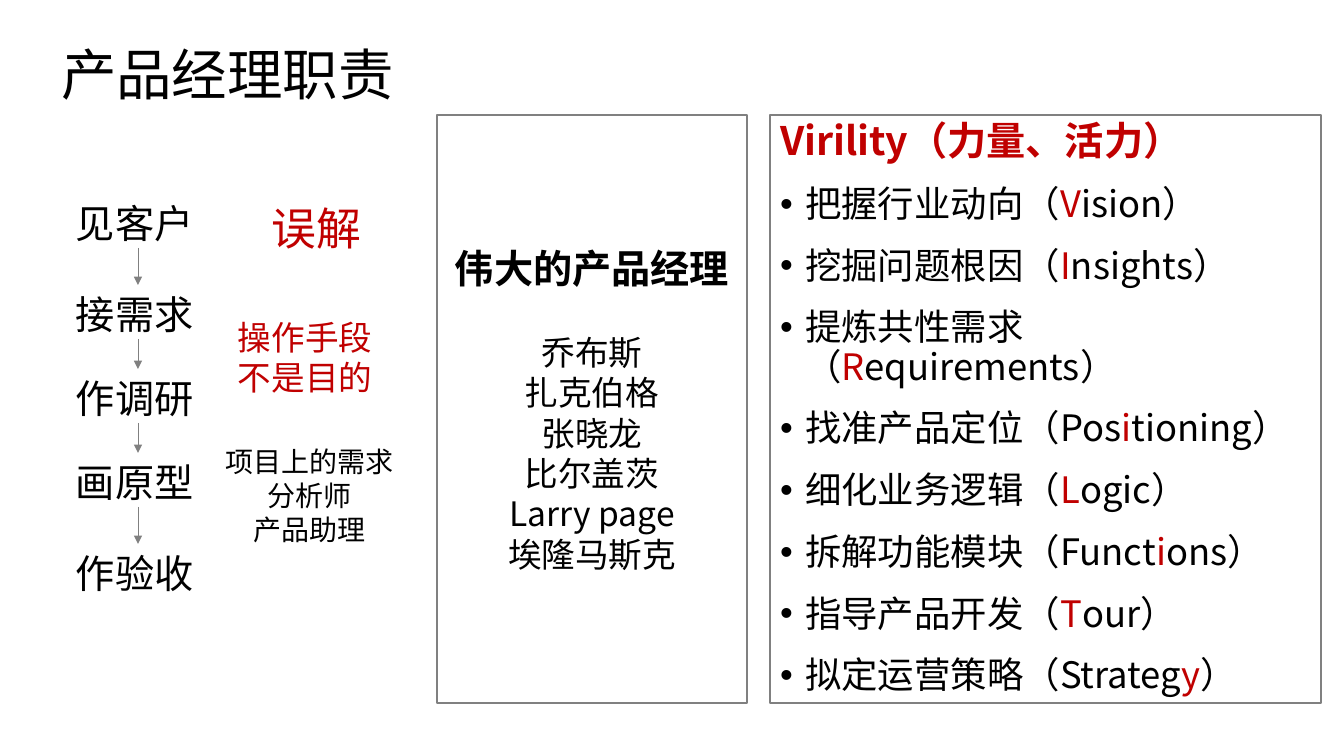
"""Builds the slide on the duties of a product manager."""
from lxml import etree
from pptx import Presentation
from pptx.dml.color import RGBColor
from pptx.enum.shapes import MSO_CONNECTOR, MSO_SHAPE
from pptx.enum.text import MSO_ANCHOR, MSO_AUTO_SIZE, PP_ALIGN
from pptx.oxml.ns import qn
from pptx.util import Emu, Pt

LEFT, CENTER = PP_ALIGN.LEFT, PP_ALIGN.CENTER
TOP, MIDDLE = MSO_ANCHOR.TOP, MSO_ANCHOR.MIDDLE
FIXED = MSO_AUTO_SIZE.NONE
STRAIGHT = MSO_CONNECTOR.STRAIGHT
RECTANGLE = MSO_SHAPE.RECTANGLE

FONT = "Noto Sans CJK SC"
BLACK, RED, GRAY = "000000", "C00000", "808080"
EMU_PER_PX = 914400 / 100.8

TITLE = "产品经理职责"
TITLE_BOX = (51, 39, 388, 77)
STEPS = [("见客户", 194), ("接需求", 285), ("作调研", 369), ("画原型", 453), ("作验收", 544)]
STEP_LEFT, STEP_WIDTH, STEP_HEIGHT = 66, 144, 54
NOTES = [
    (["误解"], (262, 196, 111, 65), 32, RED, LEFT),
    (["操作手段", "不是目的"], (228, 312, 186, 92), 24, RED, LEFT),
    (["项目上的需求分析师", "产品助理"], (215, 440, 189, 112), 20, BLACK, CENTER),
]
PANEL_TOP, PANEL_HEIGHT = 115, 588
MANAGERS_BOX = (437, PANEL_TOP, 310, PANEL_HEIGHT)
MANAGERS = ["伟大的产品经理", "乔布斯", "扎克伯格", "张晓龙", "比尔盖茨", "Larry page", "埃隆马斯克"]
DUTIES_BOX = (770, PANEL_TOP, 551, PANEL_HEIGHT)
DUTIES_HEADING = "Virility（力量、活力）"
DUTIES = [
    ("把握行业动向（", "V", "ision）"),
    ("挖掘问题根因（", "I", "nsights）"),
    ("提炼共性需求（", "R", "equirements）"),
    ("找准产品定位（Pos", "i", "tioning）"),
    ("细化业务逻辑（", "L", "ogic）"),
    ("拆解功能模块（Funct", "i", "ons）"),
    ("指导产品开发（", "T", "our）"),
    ("拟定运营策略（Strateg", "y", "）"),
]


def px(length):
    return Emu(round(length * EMU_PER_PX))


def rgb(value):
    return RGBColor.from_string(value)


def place(shape, box):
    shape.left, shape.top, shape.width, shape.height = map(px, box)


def outline(shape):
    shape.fill.background()
    shape.line.color.rgb = rgb(GRAY)
    shape.line.width = Pt(1)


def style_run(run, size, color=BLACK, bold=False):
    run.font.size = Pt(size)
    run.font.bold = bold
    run.font.name = FONT
    run.font.color.rgb = rgb(color)
    east_asian = etree.Element(qn("a:ea"), typeface=FONT)
    run.font._rPr.find(qn("a:latin")).addnext(east_asian)


def prepare_frame(shape, anchor, wrap=True):
    frame = shape.text_frame
    frame.auto_size = FIXED
    frame.word_wrap = wrap
    frame.vertical_anchor = anchor
    return frame


def write_lines(frame, lines, size, color, align):
    frame.text = "\n".join(lines)
    for paragraph in frame.paragraphs:
        paragraph.alignment = align
        for run in paragraph.runs:
            style_run(run, size, color)


def add_note(slide, lines, box, size, color, align):
    note = slide.shapes.add_textbox(*map(px, box))
    write_lines(prepare_frame(note, TOP), lines, size, color, align)
    return note


def add_arrow(slide, upper, lower):
    arrow = slide.shapes.add_connector(STRAIGHT, 0, 0, 0, 0)
    arrow.begin_connect(upper, 2)
    arrow.end_connect(lower, 0)
    arrow.line.color.rgb = rgb(GRAY)
    arrow.line.width = Pt(0.5)
    etree.SubElement(arrow.line._get_or_add_ln(), qn("a:tailEnd"), type="triangle")
    etree.SubElement(arrow._element.spPr, qn("a:effectLst"))


def add_managers(slide):
    panel = slide.shapes.add_shape(RECTANGLE, *map(px, MANAGERS_BOX))
    panel.shadow.inherit = False
    outline(panel)
    frame = prepare_frame(panel, MIDDLE)
    write_lines(frame, MANAGERS, 24, BLACK, CENTER)
    heading = frame.paragraphs[0]
    heading.space_after = Pt(29)
    heading.runs[0].font.size = Pt(28)
    heading.runs[0].font.bold = True


def set_bullet(paragraph, bulleted):
    properties = paragraph._p.get_or_add_pPr()
    indent = px(25) if bulleted else 0
    properties.set("marL", str(indent))
    properties.set("indent", str(-indent))
    if bulleted:
        etree.SubElement(properties, qn("a:buFont"), typeface="Arial")
        etree.SubElement(properties, qn("a:buChar"), char="•")
    else:
        etree.SubElement(properties, qn("a:buNone"))


def fill_duties(body):
    place(body, DUTIES_BOX)
    outline(body)
    frame = prepare_frame(body, MIDDLE)
    frame.text = DUTIES_HEADING
    style_run(frame.paragraphs[0].runs[0], 28, RED, True)
    for parts in DUTIES:
        duty = frame.add_paragraph()
        for part, color in zip(parts, (BLACK, RED, BLACK)):
            run = duty.add_run()
            run.text = part
            style_run(run, 26, color)
    for index, paragraph in enumerate(frame.paragraphs):
        set_bullet(paragraph, index > 0)
        paragraph.alignment = LEFT
        paragraph.line_spacing = 0.9
        paragraph.space_before = Pt(10 if index else 0)
        paragraph.space_after = Pt(6)


def main():
    presentation = Presentation()
    presentation.slide_width, presentation.slide_height = px(1344), px(756)
    slide = presentation.slides.add_slide(presentation.slide_layouts[1])

    title = slide.shapes.title
    place(title, TITLE_BOX)
    title_frame = prepare_frame(title, MIDDLE)
    write_lines(title_frame, [TITLE], 39.6, BLACK, LEFT)
    title_frame.paragraphs[0].line_spacing = 0.9

    steps = [
        add_note(slide, [step], (STEP_LEFT, top, STEP_WIDTH, STEP_HEIGHT), 28, BLACK, LEFT)
        for step, top in STEPS
    ]
    for upper, lower in zip(steps, steps[1:]):
        add_arrow(slide, upper, lower)
    for note in NOTES:
        add_note(slide, *note)
    add_managers(slide)
    fill_duties(slide.placeholders[1])
    presentation.save("out.pptx")


if __name__ == "__main__":
    main()
